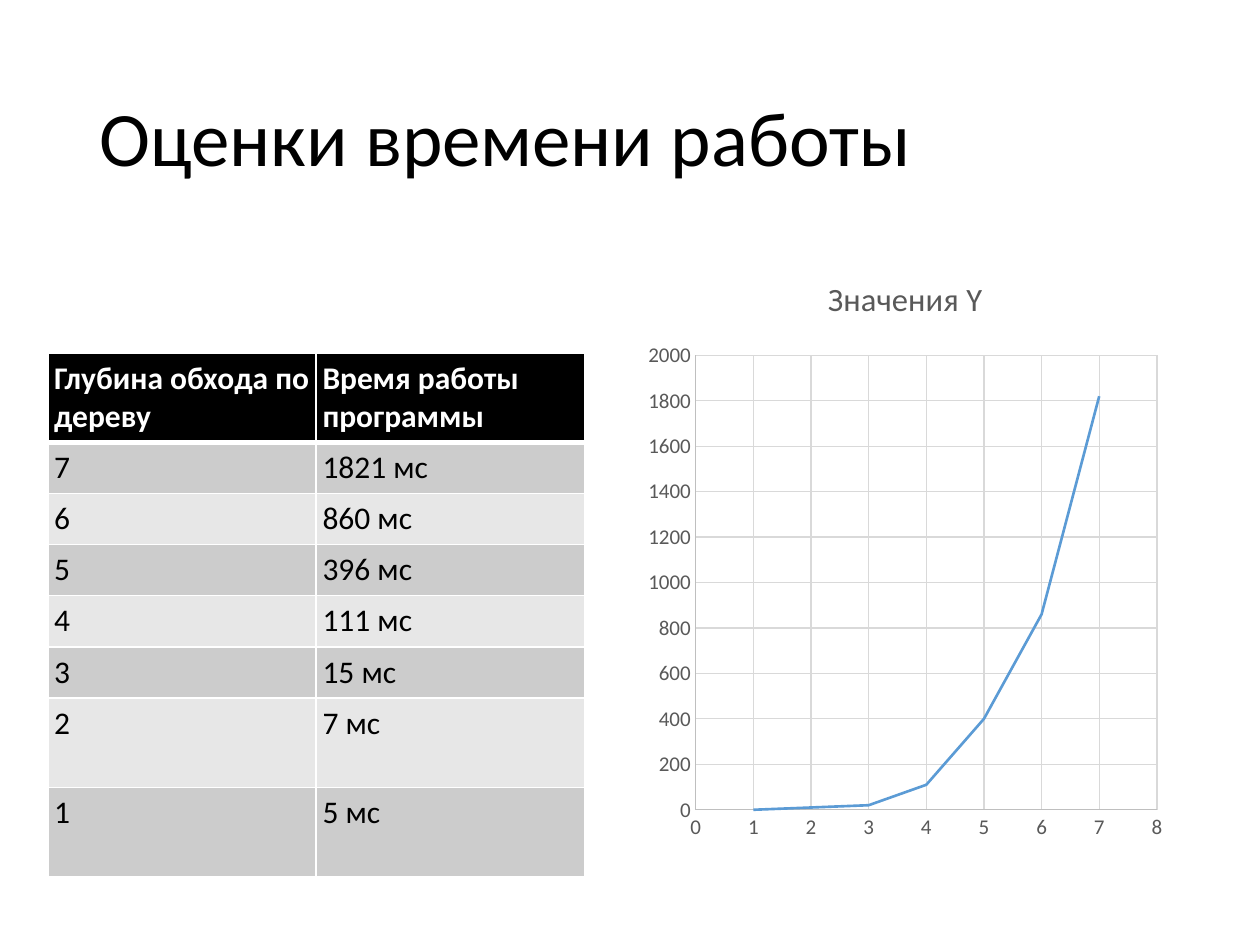
from lxml.etree import SubElement
from pptx import Presentation
from pptx.chart.data import XyChartData
from pptx.dml.color import RGBColor
from pptx.enum.chart import XL_CHART_TYPE as ChartType, XL_MARKER_STYLE as Marker, XL_TICK_MARK as Tick
from pptx.enum.text import MSO_ANCHOR as Anchor
from pptx.oxml.ns import qn
from pptx.util import Inches, Pt

TITLE = "Оценки времени работы"
HEADERS = ("Глубина обхода по дереву", "Время работы программы")
TIMES = [(7, 1821), (6, 860), (5, 396), (4, 111), (3, 15), (2, 7), (1, 5)]
SERIES = "Значения Y"
TABLE_HEIGHT = 4.16
TALL_ROW = 0.71
SHORT_ROW = (TABLE_HEIGHT - 3 * TALL_ROW) / 5
ROW_HEIGHTS = [TALL_ROW] + [SHORT_ROW] * 5 + [TALL_ROW] * 2
COL_WIDTH = 2.13

FONT = "Calibri"
BLACK = RGBColor(0, 0, 0)
WHITE = RGBColor(255, 255, 255)
BANDS = (RGBColor(0xE7, 0xE7, 0xE7), RGBColor(0xCC, 0xCC, 0xCC))
GREY = RGBColor(0x59, 0x59, 0x59)
AXIS = RGBColor(0xBF, 0xBF, 0xBF)
GRID = RGBColor(0xD9, 0xD9, 0xD9)
BLUE = RGBColor(0x5B, 0x9B, 0xD5)


def set_font(font, size, color, bold=False):
    """Apply the common typeface with a size, colour and weight."""
    for name, value in {"name": FONT, "size": Pt(size), "bold": bold}.items():
        setattr(font, name, value)
    font.color.rgb = color


def set_line(line, color, width):
    """Give a line a solid colour and a width in points."""
    line.color.rgb = color
    line.width = Pt(width)


def set_borders(cell, top, bottom):
    """Draw white borders around a cell; side borders are one point."""
    tcPr = cell._tc.get_or_add_tcPr()
    for tag, width in (("lnL", 1), ("lnR", 1), ("lnT", top), ("lnB", bottom)):
        ln = SubElement(tcPr, qn(f"a:{tag}"), w=str(Pt(width)))
        fill = SubElement(ln, qn("a:solidFill"))
        SubElement(fill, qn("a:srgbClr"), val=str(WHITE))


def add_title(s):
    """Add the slide heading."""
    tf = s.shapes.add_textbox(Inches(0.69), Inches(0.4), Inches(8.62), Inches(1.45)).text_frame
    tf.word_wrap = True
    tf.vertical_anchor = Anchor.MIDDLE
    p = tf.paragraphs[0]
    p.line_spacing = 0.9
    r = p.add_run()
    r.text = TITLE
    set_font(r.font, 44, BLACK)


def add_times_table(s):
    """Add the banded table of running times by depth."""
    rows = [HEADERS] + [(str(depth), f"{ms} мс") for depth, ms in TIMES]
    table = s.shapes.add_table(len(rows), 2, Inches(0.38), Inches(2.8),
                               Inches(2 * COL_WIDTH), Inches(TABLE_HEIGHT)).table
    for column in table.columns:
        column.width = Inches(COL_WIDTH)
    for i, (row, height) in enumerate(zip(rows, ROW_HEIGHTS)):
        table.rows[i].height = Inches(height)
        header = i == 0
        for j, text in enumerate(row):
            cell = table.cell(i, j)
            for side in ("left", "right", "top", "bottom"):
                setattr(cell, f"margin_{side}", Inches(0.05))
            set_borders(cell, top=3 if i == 1 else 1, bottom=3 if header else 1)
            cell.fill.solid()
            cell.fill.fore_color.rgb = BLACK if header else BANDS[i % 2]
            r = cell.text_frame.paragraphs[0].add_run()
            r.text = text
            set_font(r.font, 18, WHITE if header else BLACK, header)


def add_times_chart(s):
    """Add the scatter line of running time, rounded to tens, against depth."""
    data = XyChartData()
    points = data.add_series(SERIES)
    for depth, ms in reversed(TIMES):
        points.add_data_point(depth, round(ms, -1))
    chart = s.shapes.add_chart(ChartType.XY_SCATTER_LINES_NO_MARKERS, Inches(5.06), Inches(2),
                               Inches(4.25), Inches(4.76), data).chart
    set_font(chart.font, 10, BLACK)
    chart.has_legend = False
    chart.has_title = True
    r = chart.chart_title.text_frame.paragraphs[0].add_run()
    r.text = SERIES
    set_font(r.font, 18.6, GREY)
    chart.chart_title.include_in_layout = False
    for axis, top, step in ((chart.category_axis, 8, 1), (chart.value_axis, 2000, 200)):
        for name, value in {"minimum_scale": 0, "maximum_scale": top, "major_unit": step,
                            "major_tick_mark": Tick.NONE, "minor_tick_mark": Tick.NONE,
                            "has_major_gridlines": True}.items():
            setattr(axis, name, value)
        set_font(axis.tick_labels.font, 12, GREY)
        set_line(axis.format.line, AXIS, 0.75)
        set_line(axis.major_gridlines.format.line, GRID, 0.75)
    plot = chart.plots[0]
    plot.vary_by_categories = False
    series = plot.series[0]
    series.smooth = False
    series.marker.style = Marker.NONE
    set_line(series.format.line, BLUE, 1.5)


prs = Presentation()
prs.slide_width, prs.slide_height = Inches(10), Inches(7.5)
s = prs.slides.add_slide(prs.slide_layouts[6])
add_title(s)
add_times_table(s)
add_times_chart(s)
prs.save("out.pptx")
